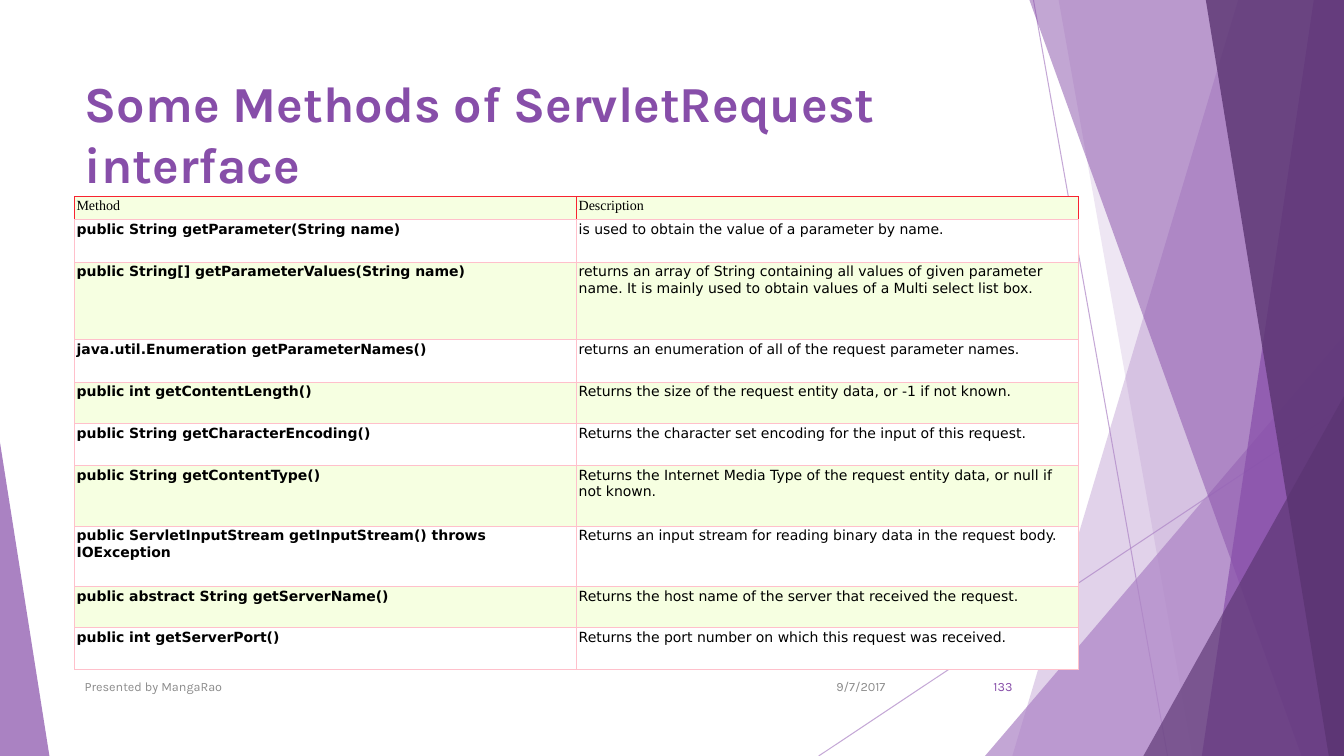
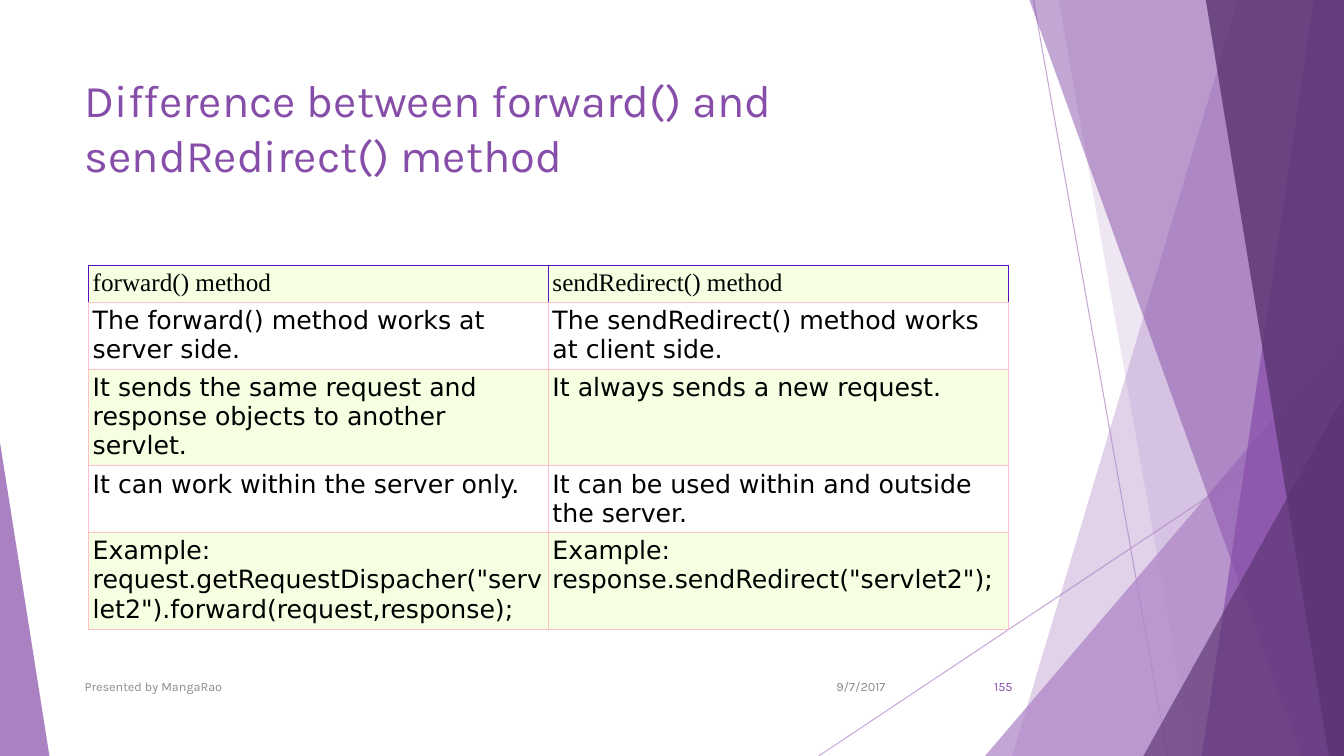
from dataclasses import dataclass

from lxml.etree import SubElement as Sub
from pptx import Presentation as Deck
from pptx.dml.color import RGBColor as Rgb
from pptx.enum.shapes import MSO_CONNECTOR as Link, MSO_SHAPE as Kind
from pptx.enum.text import MSO_ANCHOR as Anchor, MSO_AUTO_SIZE as Fit, PP_ALIGN as Align
from pptx.oxml.ns import qn
from pptx.util import Inches, Pt


@dataclass(frozen=True)
class Theme:
    """Colours, fonts and type sizes of the deck."""
    light: str = "AD84C6"
    main: str = "874EA9"
    dark: str = "5A3471"
    grey: str = "8C8C8C"
    ink: str = "000000"
    white: str = "FFFFFF"
    lime: str = "F6FFE1"
    pink: str = "FFC0CB"
    red: str = "F82331"
    blue: str = "5810C1"
    face: str = "Karla"
    serif: str = "Times New Roman"
    sans: str = "DejaVu Sans"
    small: float = 9
    rule: float = 0.6
    hair: float = 0.75


@dataclass(frozen=True)
class Box:
    """A region of the slide, in inches."""
    left: float
    top: float
    wide: float
    high: float

    @property
    def right(self):
        """Give the right edge."""
        return self.left + self.wide

    @property
    def foot(self):
        """Give the bottom edge."""
        return self.top + self.high

    def span(self):
        """Give the four lengths that shapes take."""
        return [Inches(n) for n in (self.left, self.top, self.wide, self.high)]


T = Theme()
PAGE = Box(0, 0, 13.33, 7.5)
HEAD = Box(0.74, 0.67, 9.4, 1.44)
FOOT = Box(0.74, 6.61, 9.4, 0.4)

RAYS = [((3.08, 0), (1.75, 7.5)), ((0, 4.03), (5.21, 7.5))]
FACETS = [
    ("band", 1.05, 3.29, T.light, 36),
    ("band", 2.83, 1.5, T.light, 20),
    ("peak", 3.56, 4.17, T.light, 72),
    ("band", 3.12, 0.42, T.main, 50),
    ("band", 0.3, 1.41, T.main, 70),
    ("band", 1.37, 0.15, T.dark, 80),
    ("peak", 1.99, 3.57, T.dark, 66),
]

METHODS = [
    ("Method", "Description"),
    ("public String getParameter(String name)",
     "is used to obtain the value of a parameter by name."),
    ("public String[] getParameterValues(String name)",
     "returns an array of String containing all values of given parameter name. "
     "It is mainly used to obtain values of a Multi select list box."),
    ("java.util.Enumeration getParameterNames()",
     "returns an enumeration of all of the request parameter names."),
    ("public int getContentLength()",
     "Returns the size of the request entity data, or -1 if not known."),
    ("public String getCharacterEncoding()",
     "Returns the character set encoding for the input of this request."),
    ("public String getContentType()",
     "Returns the Internet Media Type of the request entity data, or null if not known."),
    ("public ServletInputStream getInputStream() throws IOException",
     "Returns an input stream for reading binary data in the request body."),
    ("public abstract String getServerName()",
     "Returns the host name of the server that received the request."),
    ("public int getServerPort()",
     "Returns the port number on which this request was received."),
]
CALLS = [
    ("forward() method", "sendRedirect() method"),
    ("The forward() method works at server side.",
     "The sendRedirect() method works at client side."),
    ("It sends the same request and response objects to another servlet.",
     "It always sends a new request."),
    ("It can work within the server only.",
     "It can be used within and outside the server."),
    ('Example: request.getRequestDispacher("servlet2").forward(request,response);',
     'Example: response.sendRedirect("servlet2");'),
]
PAGES = [
    dict(title="Some Methods of ServletRequest interface", size=36, bold=True, num="133",
         grid=dict(box=Box(0.74, 1.95, 9.96, 4.69), rows=METHODS, size=10, pad=0.02,
                   edge=T.red, keys=True,
                   highs=[0.23, 0.42, 0.77, 0.42, 0.41, 0.42, 0.6, 0.6, 0.41, 0.41])),
    dict(title="Difference between forward() and sendRedirect() method", size=32.4,
         bold=False, num="155",
         grid=dict(box=Box(0.88, 2.63, 9.12, 3.61), rows=CALLS, size=18, pad=0.04,
                   edge=T.blue, keys=False, highs=[0.37, 0.66, 0.96, 0.66, 0.96])),
]


def put(thing, form):
    """Set each format value on an object."""
    for name, value in form.items():
        setattr(thing, name, value)


def style(para, face, size, tint, bold=False):
    """Format the text of a paragraph."""
    put(para.font, dict(name=face, size=Pt(size), bold=bold))
    para.font.color.rgb = Rgb.from_string(tint)


def fade(shape, rate):
    """Make the colour of a shape or line partly clear."""
    for tint in shape.element.xpath("./p:spPr//a:srgbClr"):
        Sub(tint, qn("a:alpha"), val=str(rate * 1000))


def paint(shape, tint, rate):
    """Give a shape a clear fill and no line."""
    shape.shadow.inherit = False
    shape.fill.solid()
    shape.fill.fore_color.rgb = Rgb.from_string(tint)
    shape.line.fill.background()
    fade(shape, rate)


def ray(slide, box, start, end):
    """Draw a thin line, measured from the right edge of the box."""
    ends = [Inches(n) for x, y in (start, end) for n in (box.right - x, box.top + y)]
    line = slide.shapes.add_connector(Link.STRAIGHT, *ends)
    line.line.width = Pt(T.hair)
    line.line.color.rgb = Rgb.from_string(T.light)
    Sub(line.element.spPr, qn("a:effectLst"))
    fade(line, 70)


def band(slide, box, top, foot, tint, rate):
    """Fill from a slanted edge to the right edge of the box."""
    spots = [(box.right - top, box.top), (box.right, box.top),
             (box.right, box.foot), (box.right - foot, box.foot)]
    spots = [(Inches(x), Inches(y)) for x, y in spots]
    form = slide.shapes.build_freeform(*spots[0])
    form.add_line_segments(spots[1:], close=True)
    paint(form.convert_to_shape(), tint, rate)


def peak(slide, box, wide, high, tint, rate, tip=1):
    """Stand a right triangle in a lower corner of the box."""
    left = box.right - wide if tip else box.left
    area = Box(left, box.foot - high, wide, high)
    shape = slide.shapes.add_shape(Kind.ISOSCELES_TRIANGLE, *area.span())
    shape.adjustments[0] = tip
    paint(shape, tint, rate)


def decor(slide, box):
    """Draw the rays and facets at the sides."""
    for start, end in RAYS:
        ray(slide, box, start, end)
    draw = dict(band=band, peak=peak)
    for kind, *parts in FACETS:
        draw[kind](slide, box, *parts)
    peak(slide, box, 0.49, 3.11, T.main, 70, tip=0)


def header(slide, box, text, size, bold):
    """Fill and place the title."""
    title = slide.shapes.title
    put(title, dict(zip(("left", "top", "width", "height"), box.span())))
    put(title.text_frame, dict(text=text, word_wrap=True, auto_size=Fit.NONE,
                               vertical_anchor=Anchor.TOP))
    para = title.text_frame.paragraphs[0]
    para.alignment = Align.LEFT
    style(para, T.face, size, T.main, bold)


def footer(slide, box, num):
    """Place the speaker, date and page number."""
    parts = [("9/7/2017", 7.14, 1, Align.RIGHT, T.grey),
             ("Presented by MangaRao", 0, 6.89, Align.LEFT, T.grey),
             (num, 8.65, 0.75, Align.RIGHT, T.main)]
    for text, shift, wide, align, tint in parts:
        area = Box(box.left + shift, box.top, wide, box.high)
        frame = slide.shapes.add_textbox(*area.span()).text_frame
        put(frame, dict(text=text, word_wrap=True, vertical_anchor=Anchor.MIDDLE))
        frame.paragraphs[0].alignment = align
        style(frame.paragraphs[0], T.face, T.small, tint)


def border(cell, edge):
    """Rule the sides of a cell, with pink at the foot."""
    prop = cell._tc.get_or_add_tcPr()
    for side in "LRTB":
        line = Sub(prop, qn("a:ln" + side), w=str(Pt(T.rule)))
        fill = Sub(line, qn("a:solidFill"))
        Sub(fill, qn("a:srgbClr"), val=T.pink if side == "B" else edge)


def table(slide, box, rows, size, pad, edge, keys, highs):
    """Build a two-tone table with equal columns."""
    count = len(rows[0])
    grid = slide.shapes.add_table(len(rows), count, *box.span()).table
    for col in grid.columns:
        col.width = Inches(box.wide / count)
    gaps = {"margin_" + side: Inches(pad) for side in ("left", "right", "top", "bottom")}
    for r, (row, high) in enumerate(zip(rows, highs)):
        grid.rows[r].height = Inches(high)
        for c, text in enumerate(row):
            cell = grid.cell(r, c)
            put(cell, dict(gaps, text=text, vertical_anchor=Anchor.TOP))
            border(cell, T.pink if r else edge)
            cell.fill.solid()
            cell.fill.fore_color.rgb = Rgb.from_string(T.white if r % 2 else T.lime)
            style(cell.text_frame.paragraphs[0], T.sans if r else T.serif, size, T.ink,
                  bold=keys and r > 0 and c == 0)


def page(deck, title, size, bold, num, grid):
    """Add one titled table slide."""
    slide = deck.slides.add_slide(deck.slide_layouts[5])
    decor(slide, PAGE)
    header(slide, HEAD, title, size, bold)
    table(slide, **grid)
    footer(slide, FOOT, num)


def main():
    """Build and save the deck."""
    deck = Deck()
    put(deck, dict(slide_width=Inches(PAGE.wide), slide_height=Inches(PAGE.high)))
    for item in PAGES:
        page(deck, **item)
    deck.save("out.pptx")


if __name__ == "__main__":
    main()
